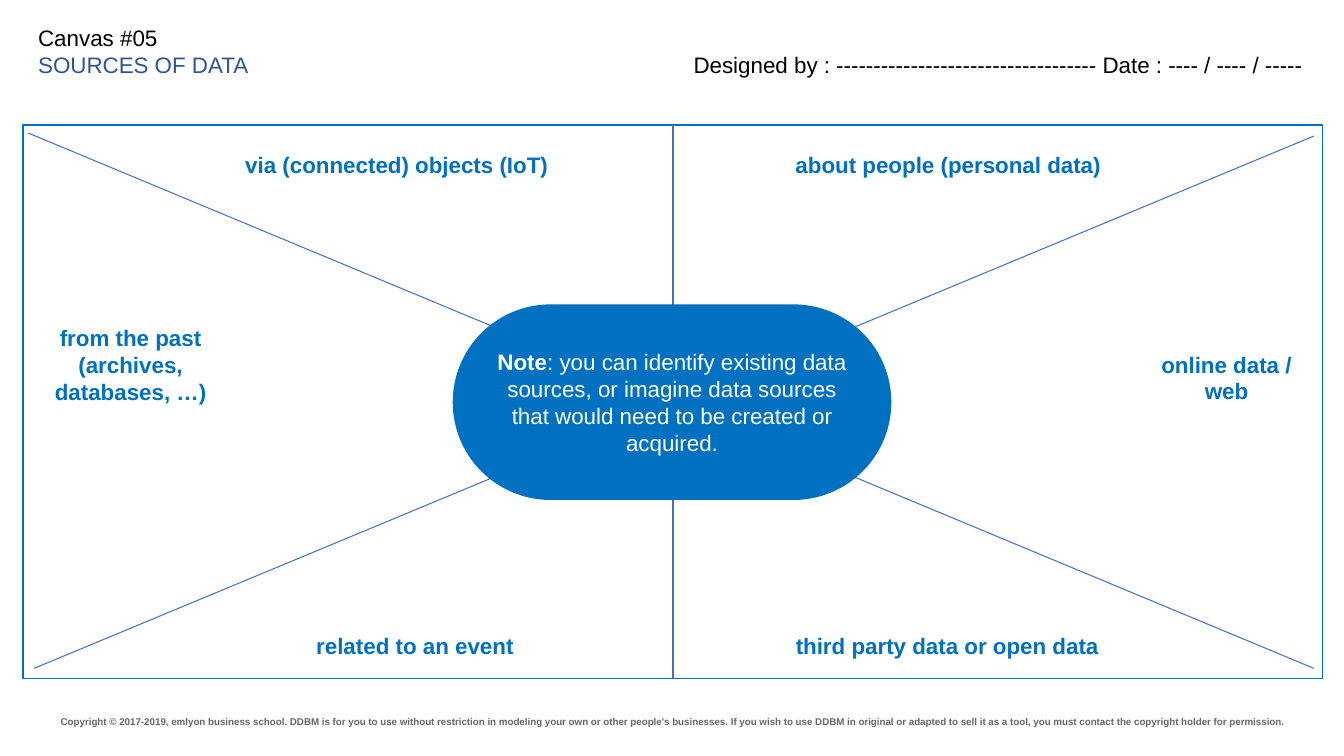
"""Build the "Sources of data" canvas slide."""
from lxml import etree
from pptx import Presentation
from pptx.dml.color import RGBColor
from pptx.enum import shapes, text
from pptx.oxml.ns import qn
from pptx.util import Inches, Pt

THEME = {
    "font": "Arial", "body": 16, "small": 7,
    "black": "000000", "white": "FFFFFF", "grey": "666666",
    "title": "2F5496", "accent": "0070C0", "ray": "4472C4",
}
CENTER, LEFT = text.PP_ALIGN.CENTER, text.PP_ALIGN.LEFT

TITLE = [("Canvas #05", "black"), ("SOURCES OF DATA", "title")]
SIGNATURE = "Designed by : ----------------------------------- Date : ---- / ---- / -----"
COPYRIGHT = (
    "Copyright © 2017-2019, emlyon business school. DDBM is for you to use without "
    "restriction in modeling your own or other people's businesses. If you wish to use "
    "DDBM in original or adapted to sell it as a tool, you must contact the copyright "
    "holder for permission."
)
NOTE = [
    ("Note", True),
    (": you can identify existing data sources, or imagine data sources that would "
     "need to be created or acquired.", False),
]
SOURCES = [
    (["about people (personal data)"], (6.44, 1.45, 5.93, 0.37)),
    (["via (connected) objects (IoT)"], (0.97, 1.45, 5.93, 0.37)),
    (["third party data or open data"], (6.82, 6.22, 5.15, 0.37)),
    (["online data / web"], (11.31, 3.43, 1.71, 0.64)),
    (["related to an event"], (1.54, 6.22, 5.15, 0.37)),
    (["from the past", "(archives, databases, …)"], (0.44, 3.17, 1.71, 1.72)),
]
FRAME = (0.23, 1.24, 12.89, 5.49)
DIAGONALS = [(0.28, 1.32, 13.03, 6.63), (0.34, 6.63, 13.03, 1.35)]
NOTE_BOX = (4.49, 3.02, 4.35, 1.94)


def color(name):
    return RGBColor.from_string(THEME[name])


def inches(values):
    return [Inches(value) for value in values]


def add_run(paragraph, words, color_name, bold=False, size="body"):
    run = paragraph.add_run()
    run.text = words
    run.font.name = THEME["font"]
    run.font.size = Pt(THEME[size])
    run.font.bold = bold
    run.font.color.rgb = color(color_name)


def set_frame(shape, vertical_inset, anchor=text.MSO_ANCHOR.TOP):
    frame = shape.text_frame
    frame.word_wrap = True
    frame.vertical_anchor = anchor
    frame.margin_left = frame.margin_right = Inches(0.1)
    frame.margin_top = frame.margin_bottom = Inches(vertical_inset)
    return frame


def add_text_box(slide, box, vertical_inset=0.05, alignment=CENTER):
    frame = set_frame(slide.shapes.add_textbox(*inches(box)), vertical_inset)
    frame.paragraphs[0].alignment = alignment
    return frame


def add_ray(slide, ends):
    ray = slide.shapes.add_connector(shapes.MSO_CONNECTOR.STRAIGHT, *inches(ends))
    ray.line.color.rgb = color("ray")
    ray.line.width = Pt(0.75)
    etree.SubElement(ray._element.spPr, qn("a:effectLst"))
    return ray


def add_header(slide):
    title = add_text_box(slide, (0.28, 0.14, 6.39, 0.44), 0.1, LEFT).paragraphs[0]
    for index, (words, color_name) in enumerate(TITLE):
        if index:
            title.add_line_break()
        add_run(title, words, color_name)
    signature = add_text_box(slide, (6.78, 0.14, 6.39, 0.44), 0.1, LEFT).paragraphs[0]
    signature.line_spacing = 2.0
    signature.space_after = Pt(6)
    add_run(signature, SIGNATURE, "black")


def add_canvas(slide):
    frame = slide.shapes.add_shape(shapes.MSO_SHAPE.RECTANGLE, *inches(FRAME))
    frame.shadow.inherit = False
    frame.fill.background()
    frame.line.color.rgb = color("accent")
    frame.line.width = Pt(1)
    for ends in DIAGONALS:
        add_ray(slide, ends)
    left, top, width, height = FRAME
    middle = left + width / 2
    divider = add_ray(slide, (middle, top, middle, top + height))
    divider.begin_connect(frame, 0)
    divider.end_connect(frame, 2)


def add_sources(slide):
    for lines, box in SOURCES:
        frame = add_text_box(slide, box)
        for index, words in enumerate(lines):
            paragraph = frame.add_paragraph() if index else frame.paragraphs[0]
            paragraph.alignment = CENTER
            add_run(paragraph, words, "accent", True)


def add_note(slide):
    note = slide.shapes.add_shape(shapes.MSO_SHAPE.ROUNDED_RECTANGLE, *inches(NOTE_BOX))
    note.adjustments[0] = 0.5
    note.shadow.inherit = False
    note.fill.solid()
    note.fill.fore_color.rgb = color("accent")
    note.line.fill.background()
    paragraph = set_frame(note, 0.05, text.MSO_ANCHOR.MIDDLE).paragraphs[0]
    paragraph.alignment = CENTER
    for words, bold in NOTE:
        add_run(paragraph, words, "white", bold)


def main():
    presentation = Presentation()
    presentation.slide_width = Inches(13.33)
    presentation.slide_height = Inches(7.5)
    slide = presentation.slides.add_slide(presentation.slide_layouts[6])
    footer = add_text_box(slide, (0.31, 7.1, 12.72, 0.4), 0)
    add_run(footer.paragraphs[0], COPYRIGHT, "grey", True, "small")
    add_header(slide)
    add_canvas(slide)
    add_sources(slide)
    add_note(slide)
    presentation.save("out.pptx")


if __name__ == "__main__":
    main()
